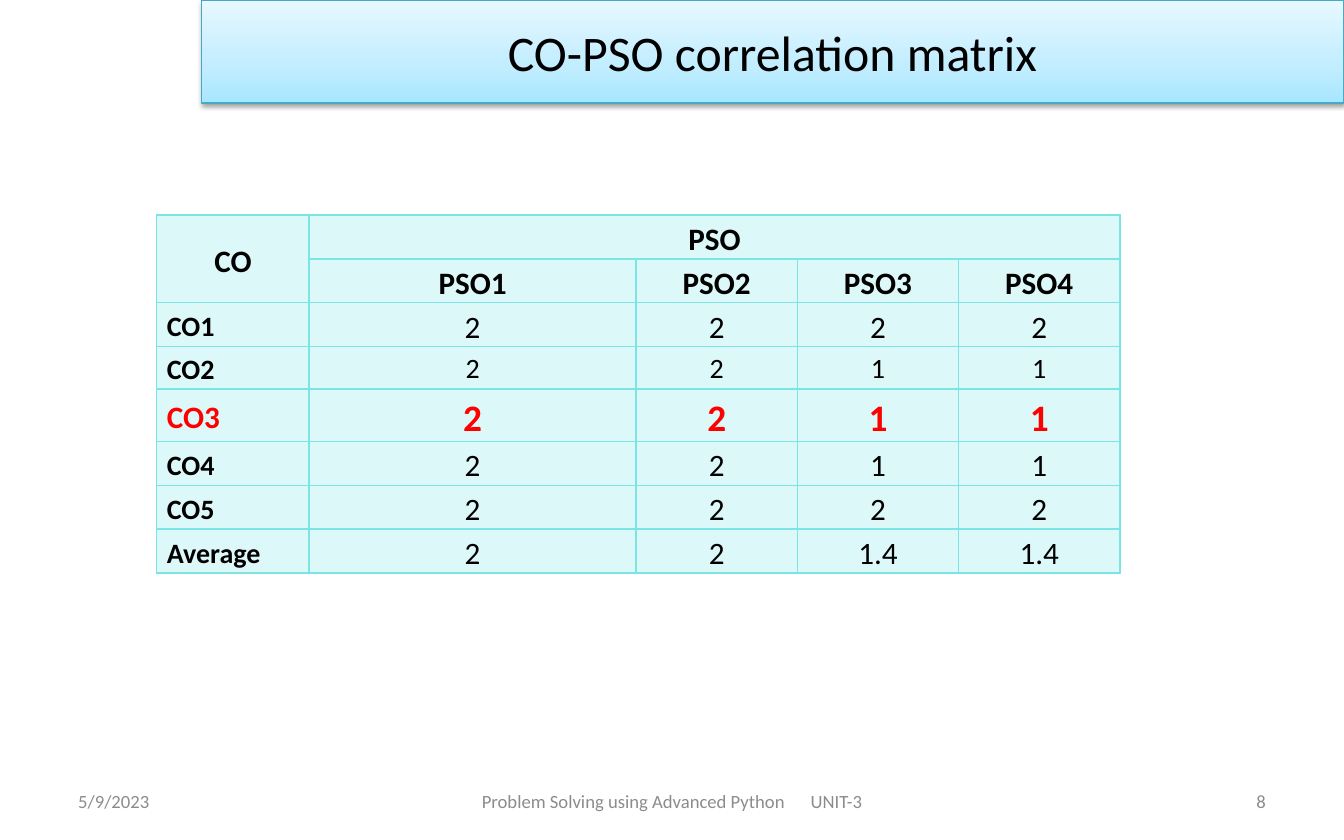
"""Build the CO-PSO correlation matrix slide."""
from lxml import etree
from pptx import Presentation
from pptx.dml.color import RGBColor
from pptx.enum.text import MSO_ANCHOR as ANCHOR, MSO_AUTO_SIZE as AUTO_SIZE, PP_ALIGN as ALIGN
from pptx.oxml import parse_xml
from pptx.oxml.ns import nsdecls, qn
from pptx.util import Inches, Pt

COLORS = {
    "black": "000000", "red": "FF0000", "gray": "8C8C8C", "aqua": "7BE5E5",
    "teal": "46AAC5", "sky": "A7E6FF", "pale": "C1EDFF", "ice": "E7F8FF",
}


def rgb(name):
    return RGBColor.from_string(COLORS[name])


def add_run(paragraph, text, size, color="black", bold=False):
    run = paragraph.add_run()
    run.text = text
    run.font.color.rgb = rgb(color)
    for attribute, value in {"name": "Calibri", "size": Pt(size), "bold": bold}.items():
        setattr(run.font, attribute, value)
    return run


prs = Presentation()
prs.slide_width, prs.slide_height = Inches(12), Inches(7.5)
slide = prs.slides.add_slide(prs.slide_layouts[5])

title = slide.shapes.title
banner = {"left": 1.8, "top": 0, "width": 10.2, "height": 0.92}
for attribute, value in banner.items():
    setattr(title, attribute, Inches(value))
title.text_frame.auto_size = AUTO_SIZE.NONE
title.text_frame.vertical_anchor = ANCHOR.MIDDLE
heading = title.text_frame.paragraphs[0]
heading.alignment = ALIGN.CENTER
add_run(heading, "CO-PSO correlation matrix", 32)

stops = "".join(
    f'<a:gs pos="{pos * 1000}"><a:srgbClr val="{COLORS[name]}"/></a:gs>'
    for pos, name in [(0, "sky"), (35, "pale"), (100, "ice")]
)
banner_props = title._element.spPr
banner_props.append(parse_xml(
    f'<a:gradFill {nsdecls("a")} rotWithShape="1"><a:gsLst>{stops}</a:gsLst>'
    '<a:lin ang="16200000" scaled="0"/></a:gradFill>'
))
title.line.color.rgb = rgb("teal")
title.line.width = Pt(0.75)
banner_props.append(parse_xml(
    f'<a:effectLst {nsdecls("a")}><a:outerShdw blurRad="{Pt(3.1)}" dist="{Pt(1.6)}" '
    f'dir="5400000" rotWithShape="0"><a:srgbClr val="{COLORS["black"]}">'
    '<a:alpha val="38000"/></a:srgbClr></a:outerShdw></a:effectLst>'
))

matrix_rows = [
    ("CO", "PSO", "", "", ""),
    ("", "PSO1", "PSO2", "PSO3", "PSO4"),
    ("CO1", "2", "2", "2", "2"),
    ("CO2", "2", "2", "1", "1"),
    ("CO3", "2", "2", "1", "1"),
    ("CO4", "2", "2", "1", "1"),
    ("CO5", "2", "2", "2", "2"),
    ("Average", "2", "2", "1.4", "1.4"),
]
column_widths = [1.36, 2.92, 1.44, 1.44, 1.44]
row_height = 0.38
label_sizes = {"CO3": 20}
value_sizes = {"CO2": 18, "CO3": 24}

matrix = slide.shapes.add_table(
    len(matrix_rows), len(column_widths), Inches(1.4), Inches(1.92),
    Inches(sum(column_widths)), Inches(row_height * len(matrix_rows)),
).table
matrix.first_row = matrix.horz_banding = False
for column, width in zip(matrix.columns, column_widths):
    column.width = Inches(width)
for row in matrix.rows:
    row.height = Inches(row_height)
matrix.cell(0, 0).merge(matrix.cell(1, 0))
matrix.cell(0, 1).merge(matrix.cell(0, 4))

cell_format = {
    "margin_left": Inches(0.09), "margin_right": Inches(0.09),
    "margin_top": 0, "margin_bottom": 0,
}
for r, entries in enumerate(matrix_rows):
    outcome = entries[0]
    for c, text in enumerate(entries):
        cell = matrix.cell(r, c)
        for attribute, value in cell_format.items():
            setattr(cell, attribute, value)
        cell.vertical_anchor = ANCHOR.MIDDLE if c == 0 else ANCHOR.TOP
        cell.fill.solid()
        cell.fill.fore_color.rgb = rgb("aqua")
        cell_props = cell._tc.get_or_add_tcPr()
        tint = cell_props.find(f'{qn("a:solidFill")}/{qn("a:srgbClr")}')
        etree.SubElement(tint, qn("a:alpha")).set("val", "25000")
        for i, side in enumerate("LRTB"):
            cell_props.insert(i, parse_xml(
                f'<a:ln{side} {nsdecls("a")} w="{Pt(1)}"><a:solidFill>'
                f'<a:srgbClr val="{COLORS["aqua"]}"/></a:solidFill></a:ln{side}>'
            ))
        if not text:
            continue
        header, label, focus = r < 2, c == 0, outcome == "CO3"
        entry = cell.text_frame.paragraphs[0]
        entry.alignment = ALIGN.LEFT if label and not header else ALIGN.CENTER
        entry.line_spacing = 1.15
        if text == "PSO":
            entry.space_after = Pt(10)
        if header:
            size = 20
        elif label:
            size = label_sizes.get(outcome, 18)
        else:
            size = value_sizes.get(outcome, 20)
        add_run(entry, text, size, "red" if focus else "black", header or label or focus)

footer_parts = [
    (0.6, 2.8, ALIGN.LEFT, ["5/9/2023"]),
    (4.1, 3.8, ALIGN.CENTER, ["Problem Solving using Advanced Python", " ", "UNIT-3"]),
    (8.6, 2.8, ALIGN.RIGHT, ["8"]),
]
for left, width, alignment, pieces in footer_parts:
    footer = slide.shapes.add_textbox(Inches(left), Inches(6.95), Inches(width), Inches(0.4))
    footer.text_frame.word_wrap = True
    footer.text_frame.vertical_anchor = ANCHOR.MIDDLE
    footer_line = footer.text_frame.paragraphs[0]
    footer_line.alignment = alignment
    for piece in pieces:
        run = add_run(footer_line, piece, 12, "gray")
        if piece == " ":
            run._r.get_or_add_rPr().set("spc", "1360")

prs.save("out.pptx")
